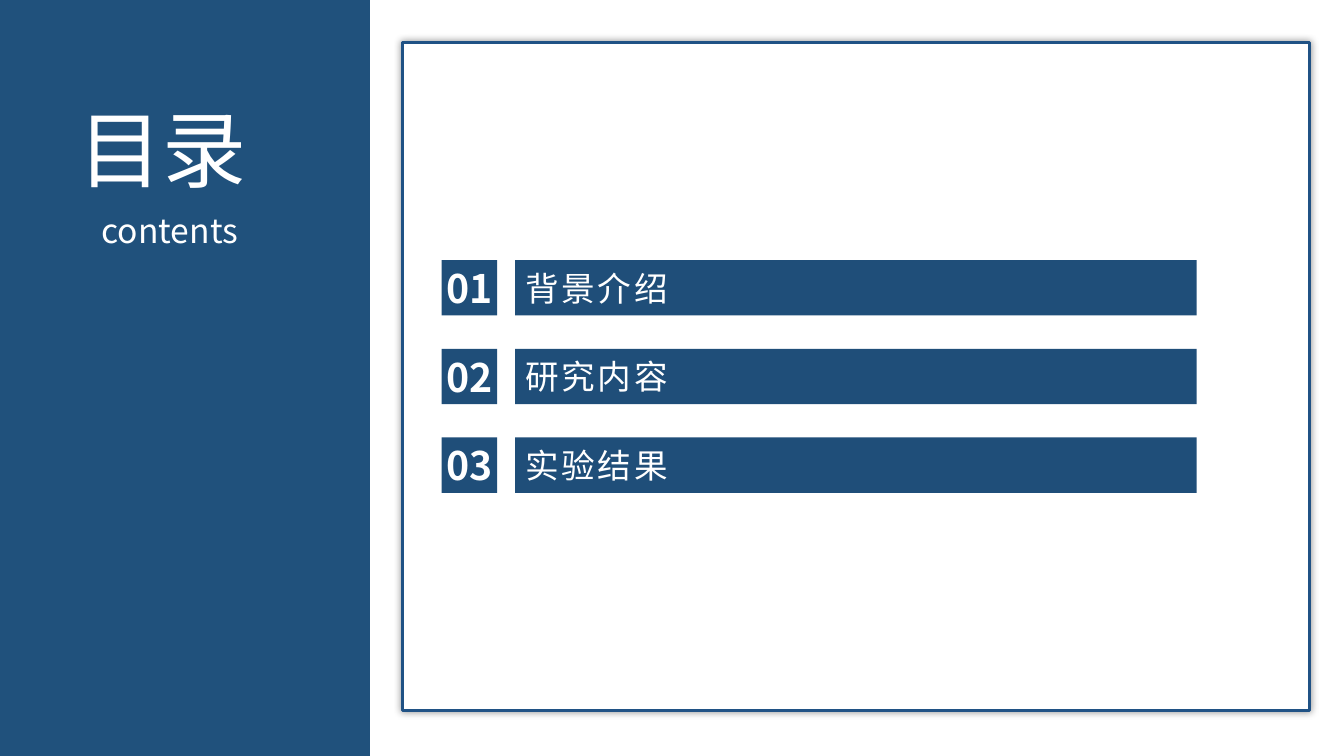
from lxml import etree
from pptx import Presentation
from pptx.dml.color import RGBColor
from pptx.enum import shapes, text
from pptx.oxml import ns
from pptx.util import Inches, Pt

FONT = "Noto Sans CJK SC"
WHITE = RGBColor(0xFF, 0xFF, 0xFF)
SIDEBAR_BLUE = RGBColor(0x20, 0x51, 0x7C)
BORDER_BLUE = RGBColor(0x20, 0x52, 0x85)
BAR_BLUE = RGBColor(0x1F, 0x4E, 0x79)
TOPICS = ["背景介绍", "研究内容", "实验结果"]


def add_rect(slide, left, top, width, height, fill):
    sp = slide.shapes.add_shape(shapes.MSO_SHAPE.RECTANGLE, left, top, width, height)
    sp.shadow.inherit = False
    sp.fill.solid()
    sp.fill.fore_color.rgb = fill
    sp.line.fill.background()
    return sp


def write(sp, words, size, align, bold=False, spacing=None):
    """Put one white line of text in a shape; spacing is in points."""
    p = sp.text_frame.paragraphs[0]
    p.text = words
    p.alignment = align
    r = p.runs[0]
    r.font.name = FONT
    r.font.size = Pt(size)
    r.font.bold = bold
    r.font.color.rgb = WHITE
    rPr = r._r.get_or_add_rPr()
    etree.SubElement(rPr, ns.qn("a:ea"), typeface=FONT)
    if spacing:
        rPr.set("spc", str(spacing * 100))


def add_glow_shadow(sp, blur, alpha):
    """Add a centred black shadow; blur is in points, alpha in percent."""
    effects = sp._element.spPr.find(ns.qn("a:effectLst"))
    shadow = etree.SubElement(effects, ns.qn("a:outerShdw"), blurRad=str(Pt(blur)),
                              dist="0", dir="0", algn="ctr", rotWithShape="0")
    color = etree.SubElement(shadow, ns.qn("a:srgbClr"), val="000000")
    etree.SubElement(color, ns.qn("a:alpha"), val=str(alpha * 1000))


def add_sidebar(slide, left, top, width, height):
    add_rect(slide, left, top, width, height, SIDEBAR_BLUE)
    for words, size, dx, dy, w, h in [("目录", 60, 0.68, 0.92, 2.19, 1.11),
                                      ("contents", 24, 0.91, 2.03, 1.74, 0.5)]:
        box = slide.shapes.add_textbox(left + Inches(dx), top + Inches(dy),
                                       Inches(w), Inches(h))
        box.text_frame.word_wrap = True
        write(box, words, size, text.PP_ALIGN.JUSTIFY)


def add_topic(slide, left, top, number, topic):
    side = Inches(0.55)
    badge = add_rect(slide, left, top, side, side, BAR_BLUE)
    tf = badge.text_frame
    tf.margin_left = tf.margin_top = tf.margin_right = tf.margin_bottom = 0
    write(badge, f"{number:02d}", 28, text.PP_ALIGN.CENTER, bold=True)

    bar = add_rect(slide, left + Inches(0.73), top, Inches(6.76), side, BAR_BLUE)
    write(bar, topic, 24, text.PP_ALIGN.LEFT, spacing=2)
    for sp in (badge, bar):
        sp.text_frame.vertical_anchor = text.MSO_ANCHOR.MIDDLE


def add_contents_panel(slide, left, top, width, height):
    panel = add_rect(slide, left, top, width, height, WHITE)
    panel.line.color.rgb = BORDER_BLUE
    panel.line.width = Pt(2.25)
    add_glow_shadow(panel, blur=5, alpha=40)
    for i, topic in enumerate(TOPICS):
        add_topic(slide, left + Inches(0.39), top + Inches(2.16 + 0.88 * i), i + 1, topic)


def main():
    prs = Presentation()
    prs.slide_width = Inches(13.33)
    prs.slide_height = Inches(7.5)
    slide = prs.slides.add_slide(prs.slide_layouts[6])
    add_sidebar(slide, 0, 0, Inches(3.67), prs.slide_height)
    add_contents_panel(slide, Inches(3.99), Inches(0.42), Inches(9), Inches(6.63))
    prs.save("out.pptx")


if __name__ == "__main__":
    main()
